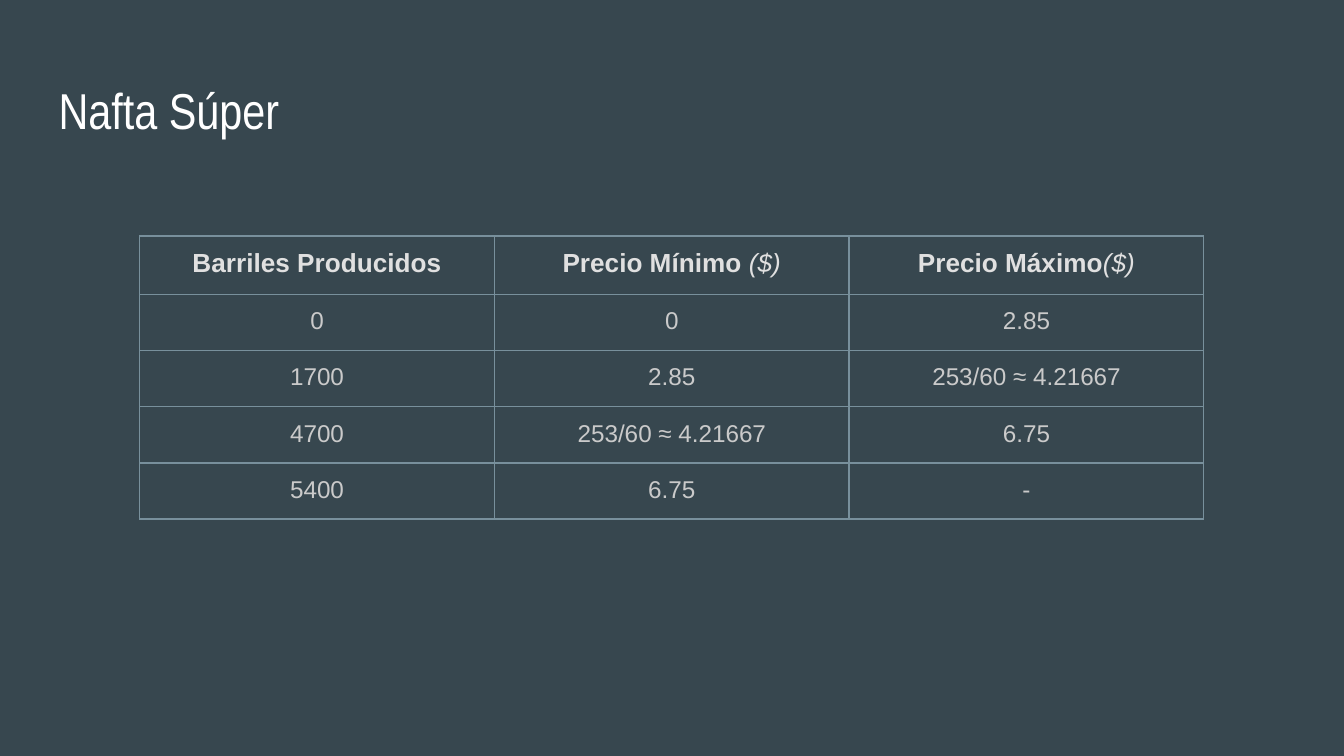
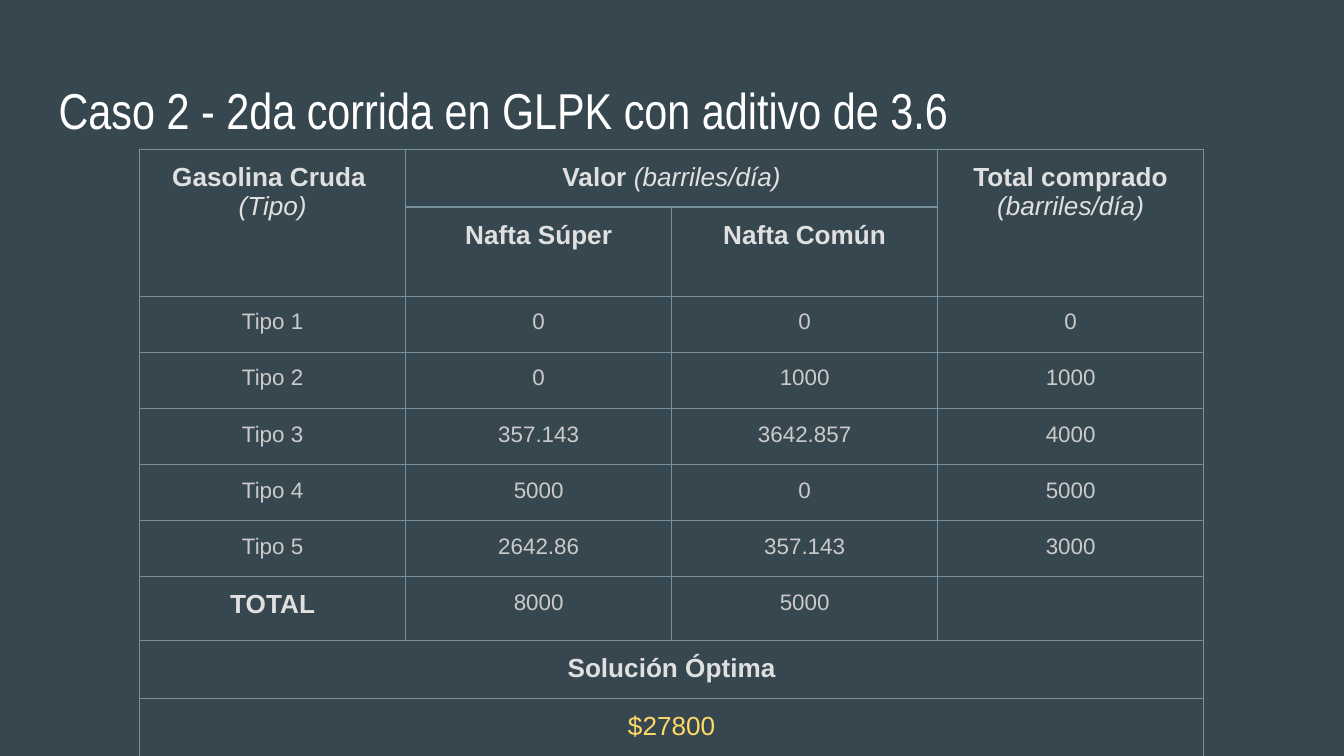
from lxml import etree
from pptx import Presentation
from pptx.dml.color import RGBColor
from pptx.enum.text import MSO_ANCHOR, PP_ALIGN
from pptx.oxml.ns import qn
from pptx.util import Cm, Pt

MID = PP_ALIGN.CENTER
TOP = MSO_ANCHOR.TOP
BACK, LINE = "37474F", "78909C"
LEFT, WIDE = 2.64, 20.11
ROW, PAD = 1.06, 0.25

TITLE = {"name": "Arial Narrow", "size": Pt(27), "color": "FFFFFF"}
HEAD = {"name": "Arial", "size": Pt(14), "color": "E0E0E0", "bold": True}
UNIT = {**HEAD, "bold": False, "italic": True}
BODY = {"name": "Arial", "size": Pt(13), "color": "CACACA"}
SMALL = {**BODY, "size": Pt(12)}
BEST = {**HEAD, "bold": False, "color": "FFD966"}


def paint(code):
    return RGBColor.from_string(code)


def head(text, unit=""):
    """Return one line: a bold label and an optional unit in italics."""
    return [(text, HEAD)] + ([(unit, UNIT)] if unit else [])


def plain(rows, style):
    """Turn rows of strings into rows of one-line cells."""
    return [[[[(text, style)]] for text in row] for row in rows]


class Deck:
    def __init__(self):
        self.file = Presentation()
        self.file.slide_width = Cm(25.4)
        self.file.slide_height = Cm(14.29)
        self.slide = None

    def page(self, title):
        self.slide = self.file.slides.add_slide(self.file.slide_layouts[6])
        fill = self.slide.background.fill
        fill.solid()
        fill.fore_color.rgb = paint(BACK)
        box = self.slide.shapes.add_textbox(Cm(0.86), Cm(1.24), Cm(23.67), Cm(1.6))
        frame = box.text_frame
        frame.word_wrap = True
        self.inset(frame)
        self.text(frame, [[(title, TITLE)]])

    def inset(self, item):
        for side in ("left", "right", "top", "bottom"):
            setattr(item, f"margin_{side}", Cm(PAD))
        item.vertical_anchor = TOP

    def text(self, frame, lines, align=None):
        for i, line in enumerate(lines):
            para = frame.add_paragraph() if i else frame.paragraphs[0]
            para.alignment = align
            for text, style in line:
                run = para.add_run()
                run.text = text
                for key, value in style.items():
                    if key == "color":
                        run.font.color.rgb = paint(value)
                    else:
                        setattr(run.font, key, value)

    def border(self, cell):
        cell.fill.background()
        props = cell._tc.get_or_add_tcPr()
        for i, side in enumerate("LRTB"):
            line = etree.Element(qn(f"a:ln{side}"), w=str(Pt(0.75)))
            fill = etree.SubElement(line, qn("a:solidFill"))
            etree.SubElement(fill, qn("a:srgbClr"), val=LINE)
            props.insert(i, line)

    def table(self, top, tall, rows, spans=()):
        """Draw rows of cells; spans lists (row, column, last row, last column)."""
        count = len(rows[0])
        grid = self.slide.shapes.add_table(
            len(rows), count, Cm(LEFT), Cm(top), Cm(WIDE), Cm(sum(tall))).table
        grid.first_row = grid.horz_banding = False
        for col in grid.columns:
            col.width = Cm(WIDE / count)
        for row, size in zip(grid.rows, tall):
            row.height = Cm(size)
        for r, c, last, end in spans:
            grid.cell(r, c).merge(grid.cell(last, end))
        for r, row in enumerate(rows):
            for c, lines in enumerate(row):
                cell = grid.cell(r, c)
                self.border(cell)
                if lines:
                    self.inset(cell)
                    self.text(cell.text_frame, lines, MID)


def main():
    deck = Deck()

    deck.page("Nafta Súper")
    prices = [
        ["0", "0", "2.85"],
        ["1700", "2.85", "253/60 ≈ 4.21667"],
        ["4700", "253/60 ≈ 4.21667", "6.75"],
        ["5400", "6.75", "-"],
    ]
    top = [[head("Barriles Producidos")],
           [head("Precio Mínimo ", "($)")],
           [head("Precio Máximo", "($)")]]
    deck.table(4.46, [1.11] + [ROW] * 4, [top] + plain(prices, BODY))

    deck.page("Caso 2 - 2da corrida en GLPK con aditivo de 3.6")
    unit = "(barriles/día)"
    crude = [
        ["Tipo 1", "0", "0", "0"],
        ["Tipo 2", "0", "1000", "1000"],
        ["Tipo 3", "357.143", "3642.857", "4000"],
        ["Tipo 4", "5000", "0", "5000"],
        ["Tipo 5", "2642.86", "357.143", "3000"],
    ]
    rows = [
        [[head("Gasolina Cruda "), [("(Tipo)", UNIT)]],
         [head("Valor ", unit)], None,
         [head("Total comprado"), [(unit, UNIT)]]],
        [None, [head("Nafta Súper")], [head("Nafta Común")], None],
        *plain(crude, SMALL),
        [[head("TOTAL")], *plain([["8000", "5000"]], SMALL)[0], None],
        [[head("Solución Óptima")], None, None, None],
        [[[("$27800", BEST)]], None, None, None],
    ]
    tall = [ROW, 1.63] + [ROW] * 5 + [1.21, ROW, ROW]
    spans = [(0, 0, 1, 0), (0, 1, 0, 2), (0, 3, 1, 3), (8, 0, 8, 3), (9, 0, 9, 3)]
    deck.table(2.82, tall, rows, spans)

    deck.file.save("out.pptx")


if __name__ == "__main__":
    main()
